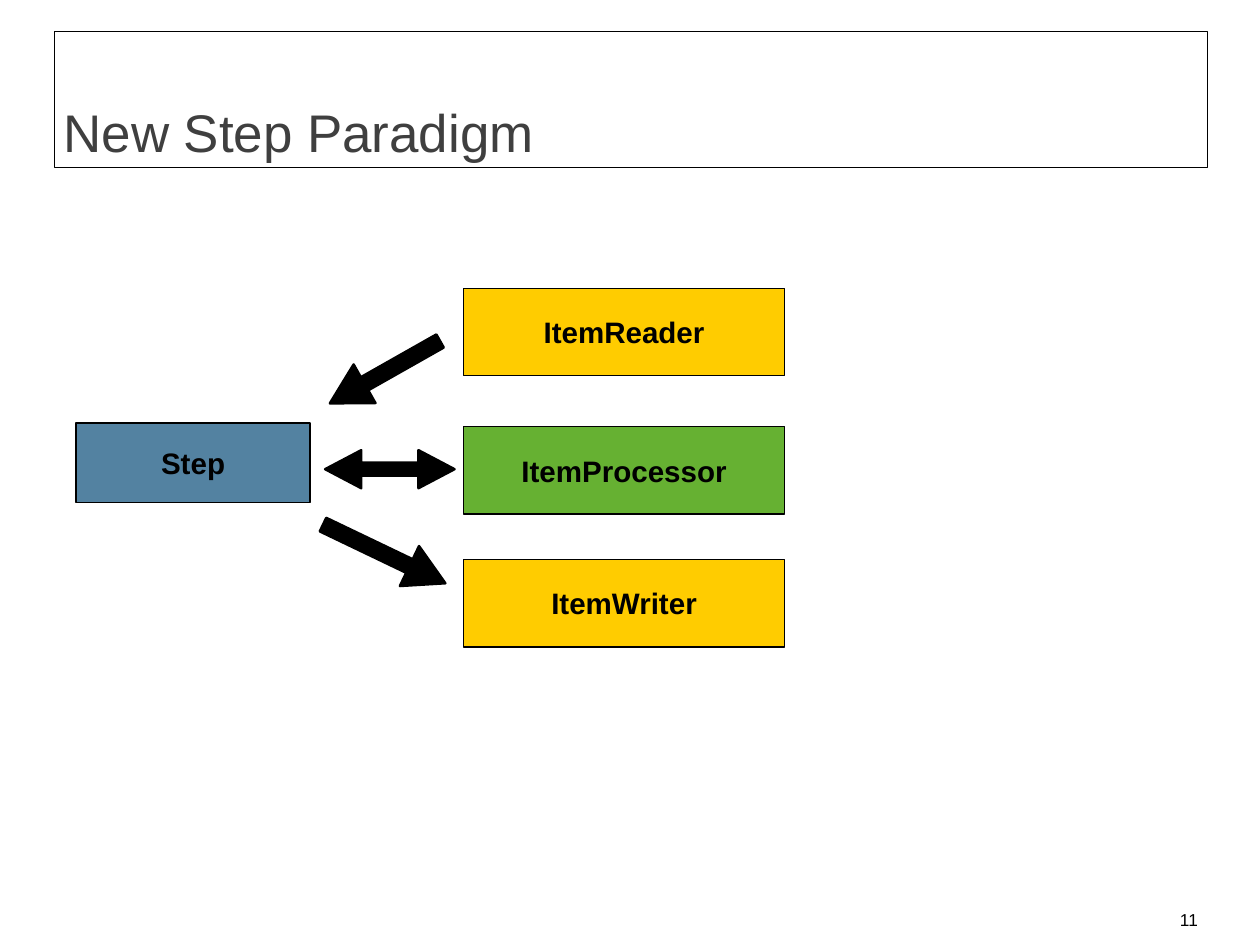
from pptx import Presentation
from pptx.dml.color import RGBColor
from pptx.enum.shapes import MSO_SHAPE as Shape
from pptx.enum.text import MSO_ANCHOR as Anchor, MSO_AUTO_SIZE as AutoSize, PP_ALIGN as Align
from pptx.util import Cm, Pt

BLACK = RGBColor(0x00, 0x00, 0x00)
WHITE = RGBColor(0xFF, 0xFF, 0xFF)
CHARCOAL = RGBColor(0x3F, 0x3F, 0x3F)
BLUE = RGBColor(0x53, 0x82, 0xA1)
GREEN = RGBColor(0x66, 0xB1, 0x32)
YELLOW = RGBColor(0xFF, 0xCC, 0x00)


def write(frame, text, *, size, color=BLACK, bold=False, align=Align.LEFT,
          anchor=Anchor.TOP, wrap=True, insets=(0.25, 0.13, 0.25, 0.13)):
    """Put one formatted paragraph in a frame; insets are left, top, right, bottom in cm."""
    frame.auto_size = AutoSize.NONE
    frame.word_wrap = wrap
    frame.vertical_anchor = anchor
    (frame.margin_left, frame.margin_top,
     frame.margin_right, frame.margin_bottom) = map(Cm, insets)
    paragraph = frame.paragraphs[0]
    paragraph.text = text
    paragraph.alignment = align
    font = paragraph.font
    font.name = DiagramSlide.font_name
    font.size = Pt(size)
    font.bold = bold
    font.color.rgb = color


class DiagramSlide:
    font_name = "Arial"
    label_size = 24

    def __init__(self, presentation):
        self.slide = presentation.slides.add_slide(presentation.slide_layouts[5])

    def paint(self, shape, fill, line_width):
        shape.fill.solid()
        shape.fill.fore_color.rgb = fill
        shape.line.color.rgb = BLACK
        shape.line.width = Pt(line_width)

    def title(self, text, left, top, width, height):
        heading = self.slide.shapes.title
        heading.left, heading.top, heading.width, heading.height = map(
            Cm, (left, top, width, height))
        self.paint(heading, WHITE, 0.75)
        write(heading.text_frame, text, size=43, color=CHARCOAL,
              anchor=Anchor.BOTTOM, insets=(0.25, 0.13, 0.15, 0.13))

    def shape(self, kind, bounds, fill, line_width):
        shape = self.slide.shapes.add_shape(kind, *map(Cm, bounds))
        shape.shadow.inherit = False
        self.paint(shape, fill, line_width)
        return shape

    def component(self, label, bounds, fill):
        box = self.shape(Shape.RECTANGLE, bounds, fill, 1)
        write(box.text_frame, label, size=self.label_size, bold=True,
              align=Align.CENTER, anchor=Anchor.MIDDLE)

    def arrow(self, kind, bounds, rotation, head_length):
        arrow = self.shape(kind, bounds, BLACK, 2)
        arrow.rotation = rotation
        arrow.adjustments[0] = 0.34
        arrow.adjustments[1] = head_length

    def page_number(self, number, left, top, width, height):
        box = self.slide.shapes.add_textbox(*map(Cm, (left, top, width, height)))
        write(box.text_frame, number, size=14, align=Align.RIGHT, wrap=False)


def main():
    presentation = Presentation()
    presentation.slide_width = Cm(36.12)
    presentation.slide_height = Cm(27.08)

    diagram = DiagramSlide(presentation)
    diagram.title("New Step Paradigm", 1.57, 0.91, 33.05, 3.89)

    diagram.component("Step", (2.18, 12.12, 6.71, 2.29), BLUE)
    for label, top, fill in (
        ("ItemReader", 8.26, YELLOW),
        ("ItemProcessor", 12.22, GREEN),
        ("ItemWriter", 16.03, YELLOW),
    ):
        diagram.component(label, (13.28, top, 9.22, 2.51), fill)

    diagram.arrow(Shape.RIGHT_ARROW, (9.22, 10.03, 3.63, 1.27), 150.5, 0.9)
    diagram.arrow(Shape.LEFT_RIGHT_ARROW, (9.32, 12.9, 3.71, 1.09), 180, 0.95)
    diagram.arrow(Shape.RIGHT_ARROW, (9.07, 15.24, 3.89, 1.27), 25.6, 0.9)

    diagram.page_number("11", 33.73, 25.93, 0.86, 0.84)
    presentation.save("out.pptx")


if __name__ == "__main__":
    main()
